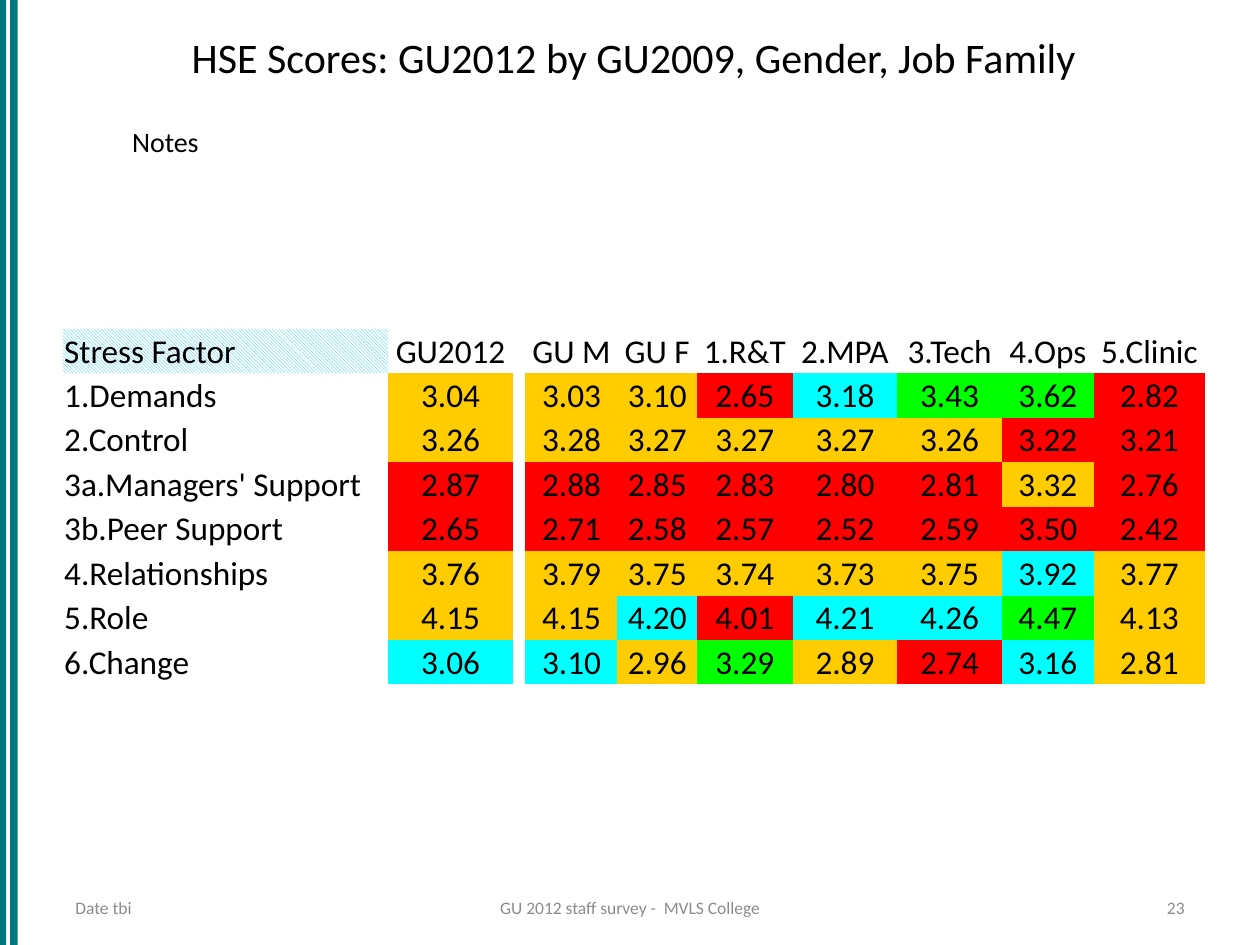
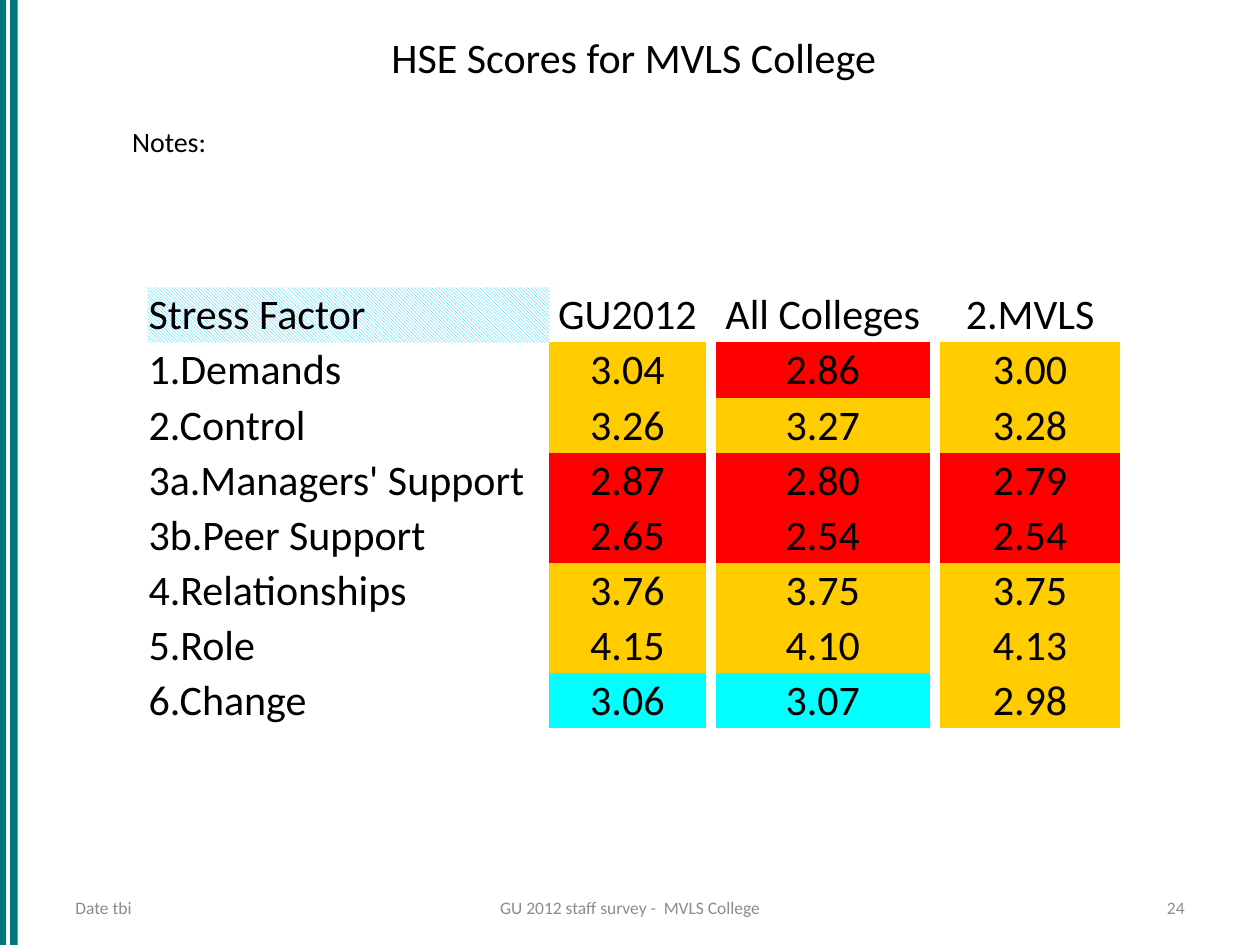
from dataclasses import dataclass

from pptx import Presentation
from pptx.dml.color import RGBColor as Rgb
from pptx.enum.dml import MSO_PATTERN as Pattern
from pptx.enum.shapes import MSO_SHAPE as Shape
from pptx.enum.text import MSO_ANCHOR as Anchor, MSO_AUTO_SIZE as Fit, PP_ALIGN as Align
from pptx.oxml.ns import qn
from pptx.util import Pt


@dataclass(frozen=True)
class Theme:
    """Colours, type sizes and font of the deck."""
    font: str = "Calibri"
    ink: Rgb = Rgb(0, 0, 0)
    grey: Rgb = Rgb(0x8C, 0x8C, 0x8C)
    teal: Rgb = Rgb(0x00, 0x77, 0x7F)
    hatch: Rgb = Rgb(0x00, 0xCC, 0xFF)
    white: Rgb = Rgb(0xFF, 0xFF, 0xFF)
    red: Rgb = Rgb(0xFF, 0, 0)
    amber: Rgb = Rgb(0xFF, 0xCC, 0)
    cyan: Rgb = Rgb(0, 0xFF, 0xFF)
    green: Rgb = Rgb(0, 0xFF, 0)
    title: int = 24
    note: int = 16
    foot: int = 10


THEME = Theme()
MARKS = {"r": THEME.red, "a": THEME.amber, "c": THEME.cyan, "g": THEME.green}
PLAIN = "{2D5ABB26-0587-4C30-8999-92F81FD0307C}"
FACTORS = ["1.Demands", "2.Control", "3a.Managers' Support", "3b.Peer Support",
           "4.Relationships", "5.Role", "6.Change"]

FAMILY = {
    "heads": ["GU2012", "", "GU M", "GU F", "1.R&T", "2.MPA", "3.Tech", "4.Ops", "5.Clinic"],
    "widths": [185.8, 71.3, 7.2, 52.6, 45.4, 54.7, 59.8, 59.8, 52.6, 63.4],
    "scores": ["3.04a - 3.03a 3.10a 2.65r 3.18c 3.43g 3.62g 2.82r",
               "3.26a - 3.28a 3.27a 3.27a 3.27a 3.26a 3.22r 3.21r",
               "2.87r - 2.88r 2.85r 2.83r 2.80r 2.81r 3.32a 2.76r",
               "2.65r - 2.71r 2.58r 2.57r 2.52r 2.59r 3.50r 2.42r",
               "3.76a - 3.79a 3.75a 3.74a 3.73a 3.75a 3.92c 3.77a",
               "4.15a - 4.15a 4.20c 4.01r 4.21c 4.26c 4.47g 4.13a",
               "3.06c - 3.10c 2.96a 3.29g 2.89a 2.74r 3.16c 2.81a"],
    "left": 36, "top": 187.9, "row": 25.4, "size": 19,
}
COLLEGE = {
    "heads": ["GU2012", "", "All Colleges", "", "2.MVLS"],
    "widths": [229.7, 89.3, 5.8, 122.4, 5.8, 103],
    "scores": ["3.04a - 2.86r - 3.00a",
               "3.26a - 3.27a - 3.28a",
               "2.87r - 2.80r - 2.79r",
               "2.65r - 2.54r - 2.54r",
               "3.76a - 3.75a - 3.75a",
               "4.15a - 4.10a - 4.13a",
               "3.06c - 3.07c - 2.98a"],
    "left": 84.2, "top": 164.2, "row": 31.5, "size": 24,
}


def format_all(item, values):
    """Set each named value on the item."""
    for name, value in values.items():
        setattr(item, name, value)


def write(frame, text, size, colour=THEME.ink, align=Align.LEFT):
    """Put one line of styled text in a frame."""
    line = frame.paragraphs[0]
    line.alignment = align
    run = line.add_run()
    run.text = text
    format_all(run.font, {"name": THEME.font, "size": Pt(size)})
    run.font.color.rgb = colour


def add_text(slide, box, text, size, colour=THEME.ink, align=Align.LEFT, anchor=Anchor.TOP):
    """Add a text box that wraps."""
    frame = slide.shapes.add_textbox(*map(Pt, box)).text_frame
    format_all(frame, {"word_wrap": True, "vertical_anchor": anchor})
    write(frame, text, size, colour, align)


def set_title(slide, text):
    """Place and fill the title."""
    title = slide.shapes.title
    format_all(title, {"left": Pt(36), "top": Pt(9.4), "width": Pt(652.3), "height": Pt(45.4)})
    frame = title.text_frame
    format_all(frame, {"vertical_anchor": Anchor.MIDDLE, "auto_size": Fit.NONE})
    write(frame, text, THEME.title, align=Align.CENTER)


def add_bands(slide, height):
    """Draw the side bands and move them to the shared layout."""
    for left in (-0.7, 5.8):
        band = slide.shapes.add_shape(Shape.RECTANGLE, Pt(left), 0, Pt(4.3), height)
        band.shadow.inherit = False
        band.fill.solid()
        band.fill.fore_color.rgb = THEME.teal
        band.line.fill.background()
        slide.slide_layout.shapes.element.insert(2, band.element)


def add_footer(slide, number):
    """Add the date, the survey name and the page number."""
    parts = [(36, 168, "Date tbi", Align.LEFT),
             (246, 228, "GU 2012 staff survey -  MVLS College", Align.CENTER),
             (516, 168, str(number), Align.RIGHT)]
    for left, width, text, align in parts:
        add_text(slide, (left, 508.3, width, 20.9), text, THEME.foot, THEME.grey,
                 align, Anchor.MIDDLE)


def fill_cell(cell, text, size, colour=None, align=Align.CENTER):
    """Write one table cell and colour it."""
    format_all(cell, {"margin_left": Pt(0.7), "margin_right": Pt(0.7), "margin_top": Pt(0.7),
                      "margin_bottom": 0, "vertical_anchor": Anchor.MIDDLE})
    if colour is None:
        cell.fill.background()
    else:
        cell.fill.solid()
        cell.fill.fore_color.rgb = colour
    if text:
        write(cell.text_frame, text, size, align=align)


def hatch_cell(cell):
    """Give a cell the diagonal hatch."""
    cell.fill.patterned()
    cell.fill.pattern = Pattern.LIGHT_DOWNWARD_DIAGONAL
    cell.fill.fore_color.rgb = THEME.hatch
    cell.fill.back_color.rgb = THEME.white


def add_scores(slide, heads, widths, scores, left, top, row, size):
    """Add the table of scores, each coloured by its mark."""
    count = len(scores) + 1
    frame = slide.shapes.add_table(count, len(widths), Pt(left), Pt(top),
                                   Pt(sum(widths)), Pt(row * count))
    table = frame.table
    format_all(table, {"first_row": False, "horz_banding": False})
    next(frame.element.iter(qn("a:tableStyleId"))).text = PLAIN
    for column, width in zip(table.columns, widths):
        column.width = Pt(width)
    for line in table.rows:
        line.height = Pt(row)
    for y, name in enumerate(["Stress Factor"] + FACTORS):
        fill_cell(table.cell(y, 0), name, size, align=Align.LEFT)
    hatch_cell(table.cell(0, 0))
    for x, head in enumerate(heads, 1):
        fill_cell(table.cell(0, x), head, size)
    for y, line in enumerate(scores, 1):
        for x, score in enumerate(line.split(), 1):
            fill_cell(table.cell(y, x), score[:-1], size, MARKS.get(score[-1]))


def main():
    """Build the deck and save it."""
    deck = Presentation()
    format_all(deck, {"slide_width": Pt(720), "slide_height": Pt(540)})
    pages = [("HSE Scores: GU2012 by GU2009, Gender, Job Family", "Notes", FAMILY),
             ("HSE Scores for MVLS College", "Notes:", COLLEGE)]
    for number, (title, note, data) in enumerate(pages, 23):
        slide = deck.slides.add_slide(deck.slide_layouts[5])
        set_title(slide, title)
        add_footer(slide, number)
        add_text(slide, (68.4, 67.7, 586.8, 26.6), note, THEME.note)
        add_scores(slide, **data)
    add_bands(deck.slides[0], deck.slide_height)
    deck.save("out.pptx")


if __name__ == "__main__":
    main()
